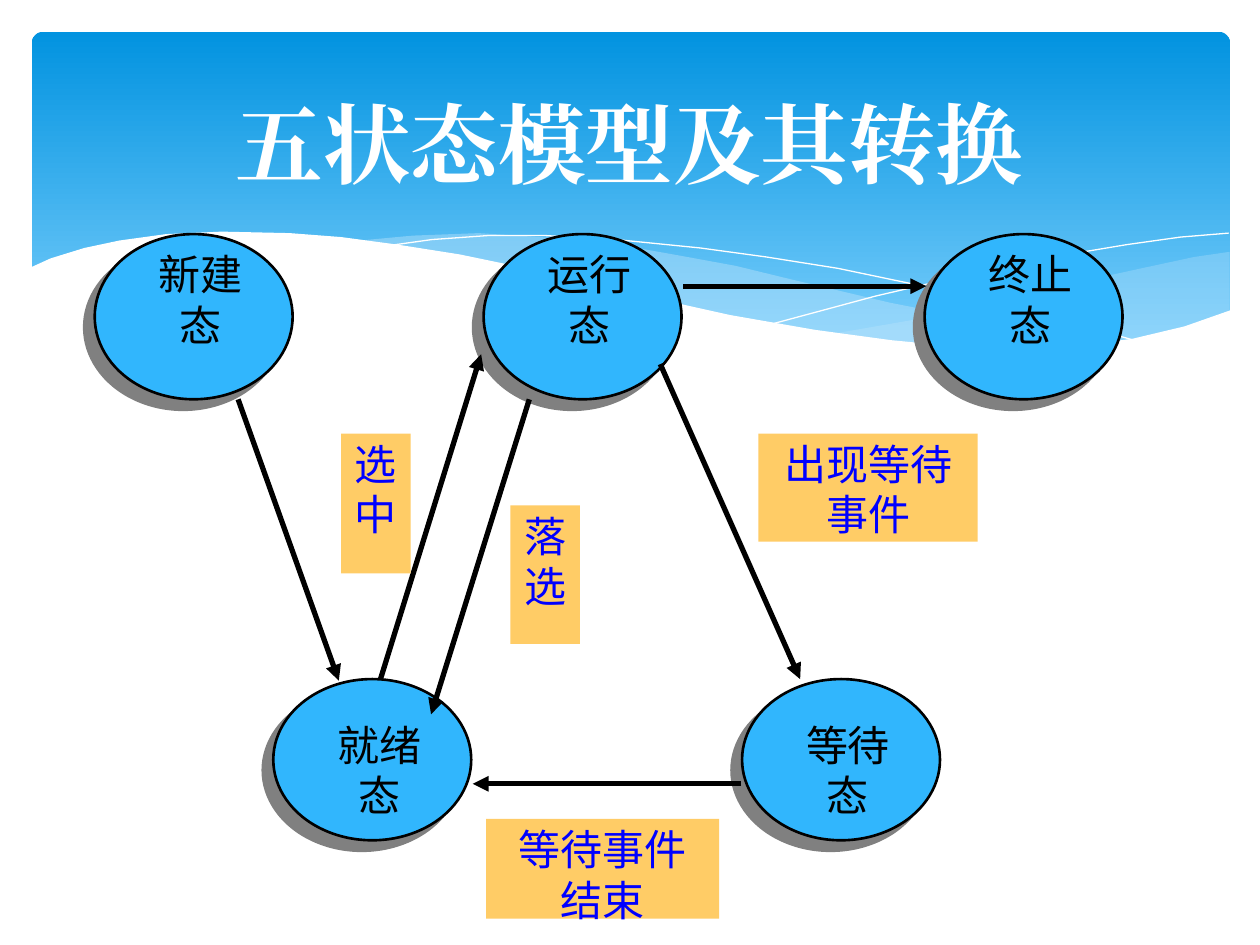
"""Build a slide showing the five process states and their transitions."""
from typing import NamedTuple

from lxml.etree import SubElement
from pptx import Presentation
from pptx.dml.color import RGBColor
from pptx.enum.lang import MSO_LANGUAGE_ID
from pptx.enum.shapes import MSO_CONNECTOR, MSO_SHAPE
from pptx.enum.text import MSO_ANCHOR, PP_ALIGN
from pptx.oxml.ns import qn
from pptx.util import Cm, Pt

COLOURS = {
    "white": "FFFFFF", "black": "000000", "sky_top": "0293E0", "sky_bottom": "83D3FE",
    "mist": "C6E7FC", "state": "31B6FD", "shadow": "808080", "label": "FFCC66",
    "label_text": "0000FF",
}
TITLE_FORMAT = {"size": Pt(50), "bold": True, "name": "Times New Roman"}
BODY_FORMAT = {"size": Pt(24), "name": "Noto Sans CJK JP"}
TITLE_FRAME = {"margin_left": Cm(0.25), "margin_right": Cm(0.25), "margin_top": Cm(0.13),
               "margin_bottom": Cm(0.13), "vertical_anchor": MSO_ANCHOR.MIDDLE}
BODY_FRAME = {"margin_left": 0, "margin_right": 0, "margin_top": Cm(0.1),
              "margin_bottom": 0, "vertical_anchor": MSO_ANCHOR.TOP}


class Wave(NamedTuple):
    points: list
    fill: str | None = None
    opacity: int = 100


class State(NamedTuple):
    text: str
    left: float
    top: float
    height: float
    text_offset: float


class Transition(NamedTuple):
    start: tuple
    end: tuple


class Label(NamedTuple):
    lines: list
    left: float
    top: float
    width: float
    height: float


WAVES = [
    Wave([(24.77, 5.08), (24.08, 5.18), (23.01, 5.41), (21.87, 5.66), (20.45, 6.02),
          (18.52, 6.43), (16.79, 6.73), (17.91, 6.88), (18.92, 6.99), (20.12, 7.04),
          (21.21, 7.04), (22.38, 6.93), (23.39, 6.73), (24.1, 6.53), (24.79, 6.27),
          (24.79, 5.08)], "mist", 29),
    Wave([(22.68, 6.93), (21.26, 6.73), (19.69, 6.45), (17.93, 6.1), (15.98, 5.64),
          (14.83, 5.36), (13.74, 5.16), (12.73, 4.98), (11.2, 4.8), (9.65, 4.7),
          (8.33, 4.75), (7.26, 4.85), (8.69, 5.05), (10.26, 5.36), (11.4, 5.64),
          (13.46, 6.1), (15.27, 6.48), (16.89, 6.76), (18.34, 6.96), (19.63, 7.06),
          (20.78, 7.09), (21.77, 7.04)], "mist", 40),
    Wave([(7.85, 4.95), (8.71, 4.83), (9.83, 4.75), (11, 4.75), (12.42, 4.83),
          (14.12, 5), (15.44, 5.18), (16.89, 5.41), (18.47, 5.74), (20.19, 6.15),
          (22.05, 6.63), (23.04, 6.91)]),
    Wave([(15.57, 6.53), (17.65, 5.97), (19.71, 5.49), (21.23, 5.18), (22.73, 4.93),
          (23.8, 4.78), (24.77, 4.7)]),
    Wave([(24.82, 6.25), (23.88, 6.58), (22.83, 6.83), (21.59, 6.99), (20.55, 7.04),
          (19.33, 6.99), (17.98, 6.86), (16.43, 6.65), (14.71, 6.35), (12.78, 5.92),
          (10.62, 5.41), (9.27, 5.13), (8, 4.93), (6.88, 4.78), (5.84, 4.7),
          (4.47, 4.67), (3.35, 4.72), (2.41, 4.85), (1.7, 5), (1.02, 5.21),
          (0.58, 5.41), (0.58, 8.36), (24.82, 8.36)], "white"),
]
STATES = [
    State("新建态", 1.91, 4.72, 3.33, 0.2),
    State("运行态", 9.75, 4.72, 3.33, 0.2),
    State("终止态", 18.64, 4.72, 3.33, 0.2),
    State("就绪态", 5.51, 13.69, 3.25, 0.71),
    State("等待态", 14.96, 13.69, 3.25, 0.71),
]
TRANSITIONS = [
    Transition((7.67, 13.69), (9.7, 7.14)),
    Transition((10.67, 8.05), (8.69, 14.4)),
    Transition((13.31, 7.34), (16.13, 13.69)),
    Transition((14.94, 15.8), (9.53, 15.8)),
    Transition((4.8, 8.05), (6.83, 13.72)),
    Transition((13.77, 5.77), (18.67, 5.77)),
]
LABELS = [
    Label(["选中"], 6.88, 8.74, 1.4, 2.82),
    Label(["落选"], 10.29, 10.19, 1.4, 2.79),
    Label(["出现等待", "事件"], 15.29, 8.74, 4.42, 2.18),
    Label(["等待事件", "结束"], 9.8, 16.51, 4.7, 2.01),
]


def colour(name: str) -> RGBColor:
    """Look up a named colour."""
    return RGBColor.from_string(COLOURS[name])


def apply_format(target, values: dict) -> None:
    """Set every attribute in the format values."""
    for name, value in values.items():
        setattr(target, name, value)


def paint(shape, fill: str | None, line: str | None = None, width: float = 0) -> None:
    """Give a shape plain fill and line colours."""
    shape.shadow.inherit = False
    if fill:
        shape.fill.solid()
        shape.fill.fore_color.rgb = colour(fill)
    else:
        shape.fill.background()
    if line:
        shape.line.color.rgb = colour(line)
        shape.line.width = Pt(width)
    else:
        shape.line.fill.background()


def write(shape, lines: list, text_colour: str, font_format: dict, frame_format: dict) -> None:
    """Write centred paragraphs into a shape."""
    frame = shape.text_frame
    frame.word_wrap = True
    apply_format(frame, frame_format)
    for index, line in enumerate(lines):
        paragraph = frame.add_paragraph() if index else frame.paragraphs[0]
        paragraph.alignment = PP_ALIGN.CENTER
        run = paragraph.add_run()
        run.text = line
        apply_format(run.font, font_format)
        run.font.language_id = MSO_LANGUAGE_ID.SIMPLIFIED_CHINESE
        run.font.color.rgb = colour(text_colour)
        SubElement(run.font._element, qn("a:ea"), typeface=font_format["name"])


def draw_sky(slide) -> None:
    """Draw the gradient panel behind the title."""
    shape = slide.shapes.add_shape(
        MSO_SHAPE.ROUNDED_RECTANGLE, Cm(0.64), Cm(0.64), Cm(24.16), Cm(6.86))
    shape.adjustments[0] = 0.034
    paint(shape, None)
    shape.fill.gradient()
    shape.fill.gradient_angle = 270
    for stop, name in zip(shape.fill.gradient_stops, ("sky_top", "sky_bottom")):
        stop.color.rgb = colour(name)


def draw_wave(slide, wave: Wave) -> None:
    """Draw a filled wave or, without a fill, a thin white curve."""
    points = [(Cm(x), Cm(y)) for x, y in wave.points]
    builder = slide.shapes.build_freeform(*points[0])
    builder.add_line_segments(points[1:], close=wave.fill is not None)
    shape = builder.convert_to_shape()
    paint(shape, wave.fill, None if wave.fill else "white")
    if wave.opacity < 100:
        fill_colour = shape._element.spPr.find(qn("a:solidFill"))[0]
        SubElement(fill_colour, qn("a:alpha"), val=str(wave.opacity * 1000))


def draw_state(slide, state: State) -> None:
    """Draw a state ellipse with its shadow and name."""
    shape = slide.shapes.add_shape(
        MSO_SHAPE.OVAL, Cm(state.left), Cm(state.top), Cm(3.99), Cm(state.height))
    paint(shape, "state", "black", 1.5)
    effects = shape._element.spPr.find(qn("a:effectLst"))
    shadow = SubElement(effects, qn("a:outerShdw"), blurRad="0", dist=str(Pt(8.5)),
                        dir="8100000", algn="ctr", rotWithShape="0")
    SubElement(shadow, qn("a:srgbClr"), val=COLOURS["shadow"])
    name_box = slide.shapes.add_textbox(
        Cm(state.left + 0.93), Cm(state.top + state.text_offset), Cm(2.41), Cm(2.82))
    write(name_box, [state.text], "black", BODY_FORMAT, BODY_FRAME)


def draw_transition(slide, transition: Transition) -> None:
    """Draw an arrow from one state to another."""
    ends = [Cm(value) for value in (*transition.start, *transition.end)]
    connector = slide.shapes.add_connector(MSO_CONNECTOR.STRAIGHT, *ends)
    connector.line.color.rgb = colour("black")
    connector.line.width = Pt(3)
    SubElement(connector.line._get_or_add_ln(), qn("a:tailEnd"), type="triangle")
    SubElement(connector._element.spPr, qn("a:effectLst"))


def draw_label(slide, label: Label) -> None:
    """Draw the box that names a transition."""
    shape = slide.shapes.add_shape(
        MSO_SHAPE.RECTANGLE, Cm(label.left), Cm(label.top), Cm(label.width), Cm(label.height))
    paint(shape, "label")
    write(shape, label.lines, "label_text", BODY_FORMAT, BODY_FRAME)


def main() -> None:
    """Build and save the presentation."""
    presentation = Presentation()
    apply_format(presentation, {"slide_width": Cm(25.4), "slide_height": Cm(19.05)})
    slide = presentation.slides.add_slide(presentation.slide_layouts[6])
    draw_sky(slide)
    for wave in WAVES:
        draw_wave(slide, wave)
    title = slide.shapes.add_textbox(Cm(1.27), Cm(1.73), Cm(22.86), Cm(2.29))
    write(title, ["五状态模型及其转换"], "white", TITLE_FORMAT, TITLE_FRAME)
    for draw, items in ((draw_state, STATES), (draw_transition, TRANSITIONS),
                        (draw_label, LABELS)):
        for item in items:
            draw(slide, item)
    presentation.save("out.pptx")


if __name__ == "__main__":
    main()
